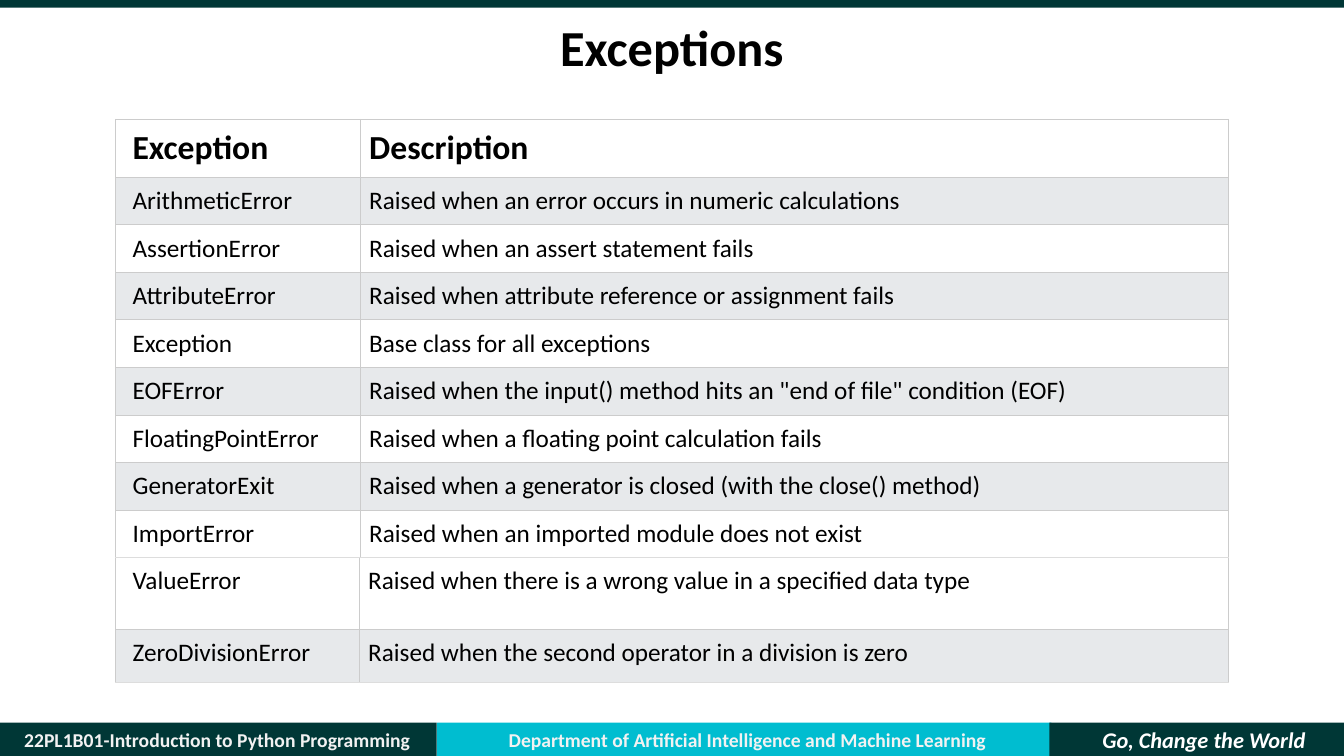
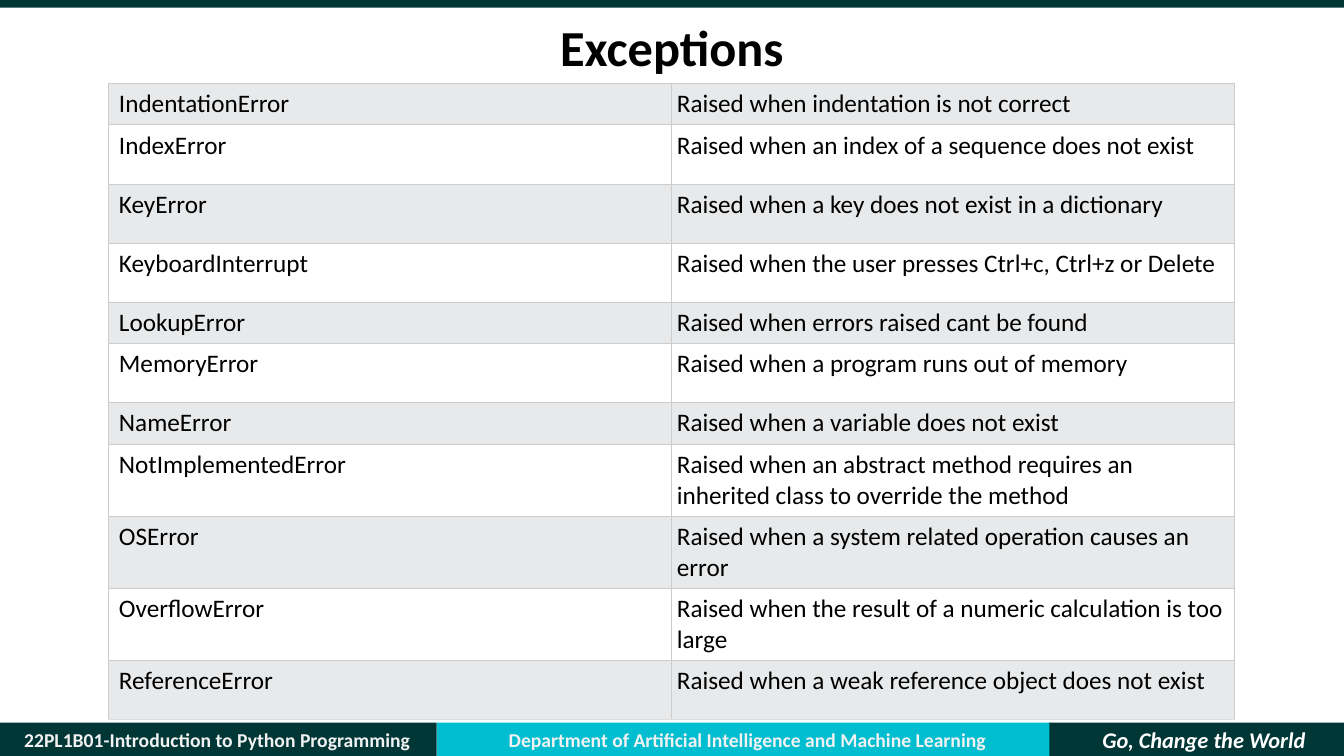
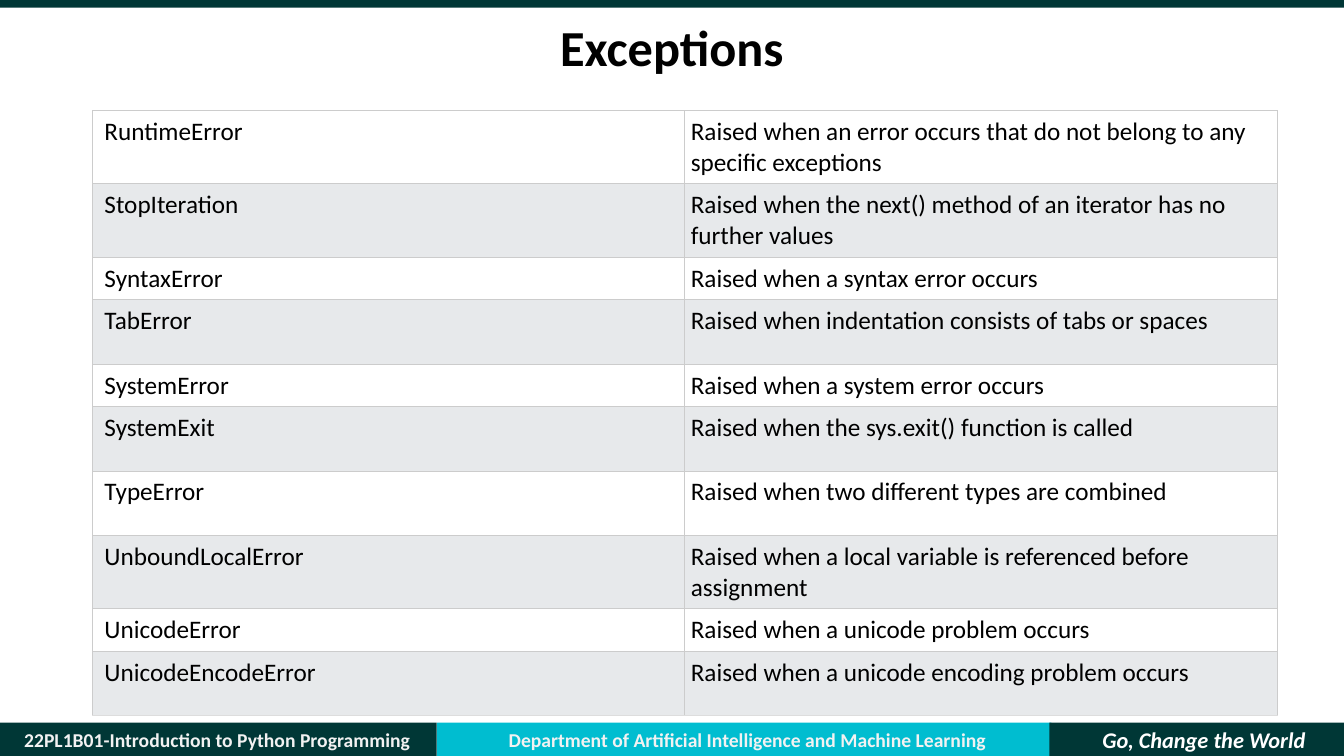
from dataclasses import dataclass
from typing import Any, NamedTuple

from lxml import etree
from pptx import Presentation
from pptx.dml.color import RGBColor
from pptx.enum import shapes as shp, text as txt
from pptx.oxml import ns
from pptx.util import Pt


@dataclass(frozen=True)
class Theme:
    font: str = "Calibri"
    dark: str = "003736"
    cyan: str = "00BDD0"
    ink: str = "000000"
    white: str = "FFFFFF"
    pale: str = "F2F2F2"
    gray: str = "E7E9EB"
    edge: str = "CCCCCC"
    base: str = "DDDDDD"
    title: float = 36
    head: float = 24
    body: float = 18
    foot: float = 14
    motto: float = 16
    line: float = 22
    rule: float = 0.75


T = Theme()


class Box(NamedTuple):
    x: float
    y: float
    w: float
    h: float


class Style(NamedTuple):
    size: float
    color: str
    bold: bool = True
    italic: bool = False


class Band(NamedTuple):
    box: Box
    color: str


class Label(NamedTuple):
    box: Box
    words: str
    style: Style


class Row(NamedTuple):
    name: str
    note: str
    kind: str = "line"


@dataclass(frozen=True)
class Grid:
    x: float
    y: float
    cols: tuple[float, float]
    pad: float
    rows: list[Row]
    tall: float = 0
    low: float = 0
    shade: int = 1

    def high(self, row: Row) -> float:
        gap = 2 * self.pad
        sizes = {
            "line": max(self.low, T.line + gap),
            "pair": 2 * T.line + gap,
            "head": 29.25 + gap,
            "tall": self.tall,
        }
        return sizes[row.kind]


FOOT, DEEP = 516.25, 24.5
BANDS = [
    Band(Box(312, FOOT, 439, DEEP), T.cyan),
    Band(Box(-1.5, FOOT, 313.5, DEEP), T.dark),
    Band(Box(0, -3, 960, 8.5), T.dark),
    Band(Box(749.5, FOOT, 210.5, DEEP), T.dark),
]
LABELS = [
    Label(Box(353.5, FOOT, 361, DEEP),
          "Department of Artificial Intelligence and Machine Learning",
          Style(T.foot, T.pale)),
    Label(Box(-1.5, FOOT, 313.5, DEEP),
          "22PL1B01-Introduction to Python Programming",
          Style(T.foot, T.pale)),
    Label(Box(779, 515, 162, 26.5), "Go, Change the World",
          Style(T.motto, T.white, italic=True)),
]
TITLE = Label(Box(66, 11.5, 828, 48.5), "Exceptions", Style(T.title, T.ink))

BASIC = Grid(82.75, 85.25, (175, 620), 6, [
    Row("Exception", "Description", "head"),
    Row("ArithmeticError", "Raised when an error occurs in numeric calculations"),
    Row("AssertionError", "Raised when an assert statement fails"),
    Row("AttributeError", "Raised when attribute reference or assignment fails"),
    Row("Exception", "Base class for all exceptions"),
    Row("EOFError", 'Raised when the input() method hits an "end of file" condition (EOF)'),
    Row("FloatingPointError", "Raised when a floating point calculation fails"),
    Row("GeneratorExit", "Raised when a generator is closed (with the close() method)"),
    Row("ImportError", "Raised when an imported module does not exist"),
])
VALUE = Grid(82.75, 398.25, (174.25, 620.75), 6, [
    Row("ValueError", "Raised when there is a wrong value in a specified data type", "tall"),
    Row("ZeroDivisionError", "Raised when the second operator in a division is zero"),
], tall=51.25, low=38)
LOOKUP = Grid(77.5, 59.75, (402.25, 402.25), 3.75, [
    Row("IndentationError", "Raised when indentation is not correct"),
    Row("IndexError", "Raised when an index of a sequence does not exist", "tall"),
    Row("KeyError", "Raised when a key does not exist in a dictionary", "tall"),
    Row("KeyboardInterrupt", "Raised when the user presses Ctrl+c, Ctrl+z or Delete", "tall"),
    Row("LookupError", "Raised when errors raised cant be found"),
    Row("MemoryError", "Raised when a program runs out of memory", "tall"),
    Row("NameError", "Raised when a variable does not exist"),
    Row("NotImplementedError",
        "Raised when an abstract method requires an inherited class to override the method",
        "pair"),
    Row("OSError", "Raised when a system related operation causes an error", "pair"),
    Row("OverflowError", "Raised when the result of a numeric calculation is too large", "pair"),
    Row("ReferenceError", "Raised when a weak reference object does not exist", "tall"),
], tall=42.25, shade=0)
SYSTEM = Grid(66.25, 79, (423, 423), 4.2, [
    Row("RuntimeError",
        "Raised when an error occurs that do not belong to any specific exceptions", "pair"),
    Row("StopIteration",
        "Raised when the next() method of an iterator has no further values", "pair"),
    Row("SyntaxError", "Raised when a syntax error occurs"),
    Row("TabError", "Raised when indentation consists of tabs or spaces", "tall"),
    Row("SystemError", "Raised when a system error occurs"),
    Row("SystemExit", "Raised when the sys.exit() function is called", "tall"),
    Row("TypeError", "Raised when two different types are combined", "tall"),
    Row("UnboundLocalError",
        "Raised when a local variable is referenced before assignment", "pair"),
    Row("UnicodeError", "Raised when a unicode problem occurs"),
    Row("UnicodeEncodeError", "Raised when a unicode encoding problem occurs", "tall"),
], tall=46)
PAGES = [[VALUE, BASIC], [LOOKUP], [SYSTEM]]


def apply(item: Any, form: dict[str, Any]) -> None:
    for key, val in form.items():
        setattr(item, key, val)


def points(box: Box) -> list[int]:
    return [Pt(val) for val in box]


def paint(item: Any, color: str) -> None:
    item.fill.solid()
    item.fill.fore_color.rgb = RGBColor.from_string(color)


def write(para: Any, words: str, style: Style) -> None:
    run = para.add_run()
    run.text = words
    apply(run.font, {"name": T.font, "size": Pt(style.size),
                     "bold": style.bold, "italic": style.italic})
    run.font.color.rgb = RGBColor.from_string(style.color)


def draw_band(slide: Any, band: Band) -> None:
    shape = slide.shapes.add_shape(shp.MSO_SHAPE.RECTANGLE, *points(band.box))
    shape.shadow.inherit = False
    shape.line.fill.background()
    paint(shape, band.color)


def draw_label(slide: Any, label: Label, form: dict[str, Any],
               space: float = 1) -> None:
    frame = slide.shapes.add_textbox(*points(label.box)).text_frame
    apply(frame, {"word_wrap": True, **form})
    para = frame.paragraphs[0]
    apply(para, {"alignment": txt.PP_ALIGN.CENTER, "line_spacing": space})
    write(para, label.words, label.style)


def border(cell: Any, last: bool) -> None:
    props = cell._tc.get_or_add_tcPr()
    for side in "LRTB":
        line = etree.SubElement(props, ns.qn(f"a:ln{side}"), w=str(Pt(T.rule)))
        fill = etree.SubElement(line, ns.qn("a:solidFill"))
        color = T.base if last and side == "B" else T.edge
        etree.SubElement(fill, ns.qn("a:srgbClr"), val=color)


def draw_grid(slide: Any, grid: Grid) -> None:
    highs = [grid.high(row) for row in grid.rows]
    box = Box(grid.x, grid.y, sum(grid.cols), sum(highs))
    table = slide.shapes.add_table(len(highs), 2, *points(box)).table
    apply(table, {"first_row": False, "horz_banding": False})
    for col, wide in zip(table.columns, grid.cols):
        col.width = Pt(wide)
    for num, (row, high) in enumerate(zip(grid.rows, highs)):
        table.rows[num].height = Pt(high)
        head = row.kind == "head"
        style = Style(T.head if head else T.body, T.ink, head)
        for col, words in enumerate((row.name, row.note)):
            cell = table.cell(num, col)
            pad = Pt(grid.pad)
            apply(cell, {"margin_left": pad if col else 2 * pad, "margin_right": pad,
                         "margin_top": pad, "margin_bottom": pad})
            border(cell, num == len(highs) - 1)
            paint(cell, T.white if (num + grid.shade) % 2 else T.gray)
            write(cell.text_frame.paragraphs[0], words, style)


def draw_page(deck: Any, grids: list[Grid]) -> None:
    slide = deck.slides.add_slide(deck.slide_layouts[6])
    for band in BANDS:
        draw_band(slide, band)
    for label in LABELS:
        draw_label(slide, label, {"auto_size": txt.MSO_AUTO_SIZE.SHAPE_TO_FIT_TEXT})
    draw_label(slide, TITLE, {"vertical_anchor": txt.MSO_ANCHOR.MIDDLE}, 0.9)
    for grid in grids:
        draw_grid(slide, grid)


def main() -> None:
    deck = Presentation()
    apply(deck, {"slide_width": Pt(960), "slide_height": Pt(540)})
    for grids in PAGES:
        draw_page(deck, grids)
    deck.save("out.pptx")


if __name__ == "__main__":
    main()
